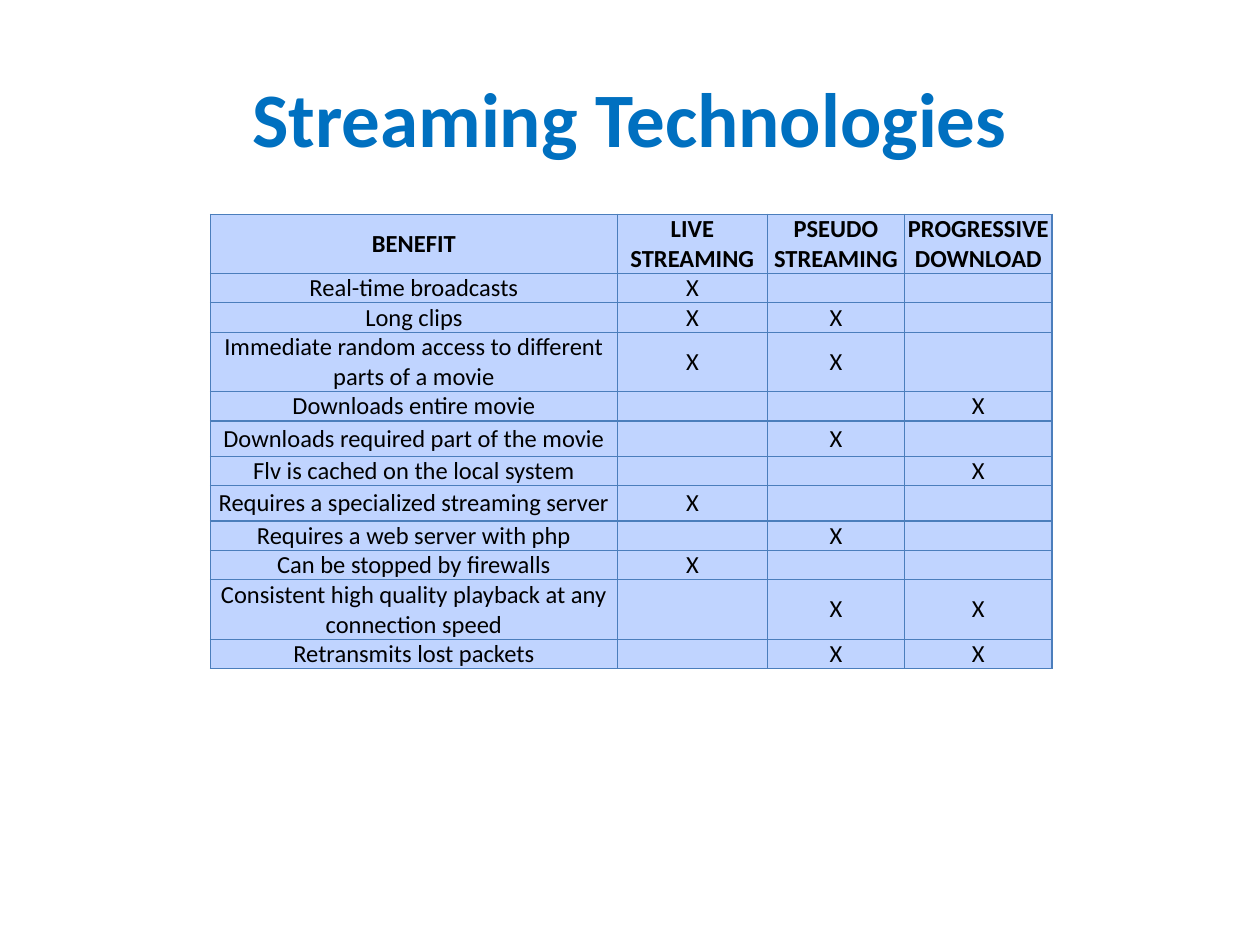
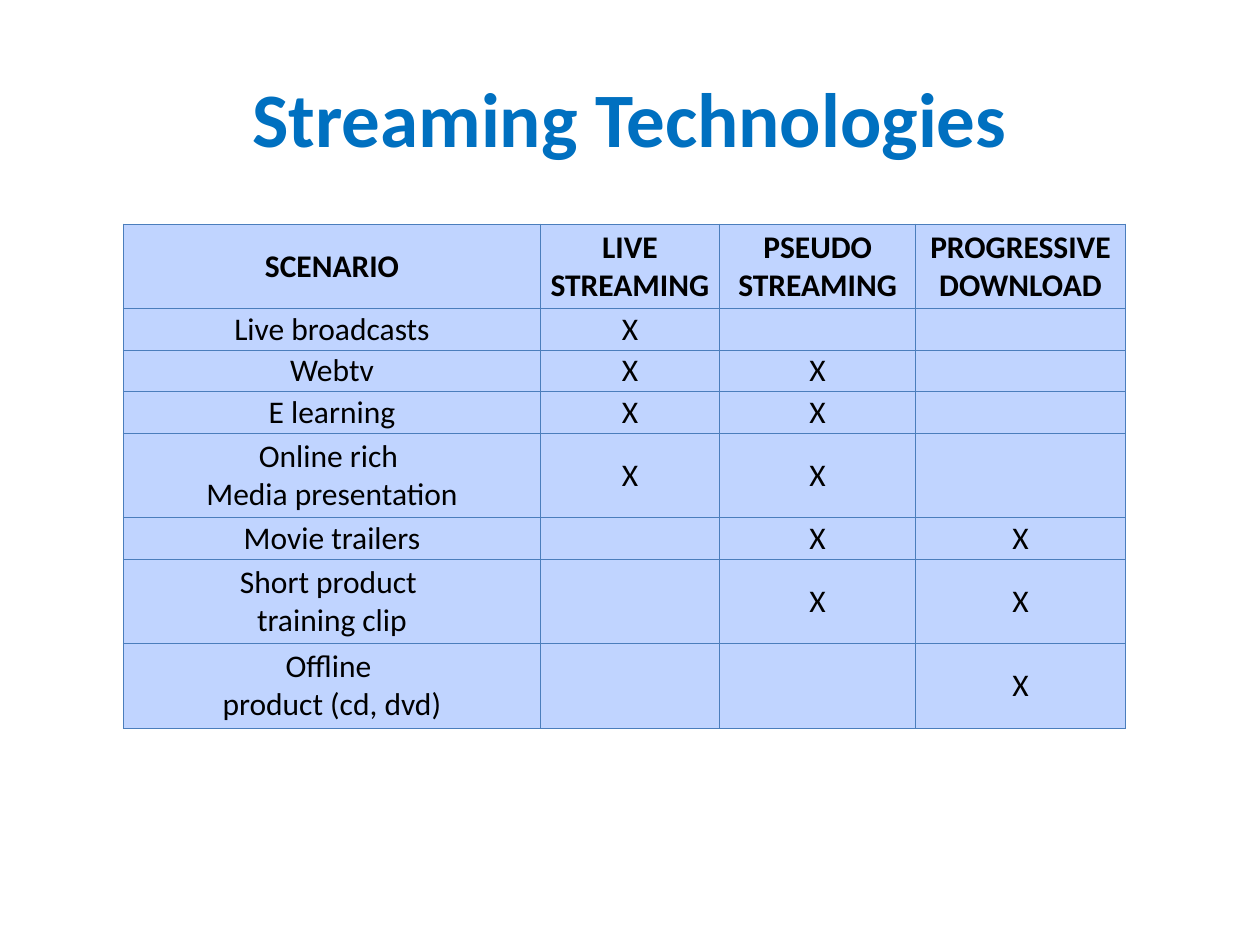
from lxml import etree
from pptx import Presentation
from pptx.dml.color import RGBColor
from pptx.enum.text import MSO_ANCHOR as Anchor, PP_ALIGN as Align
from pptx.oxml.ns import qn
from pptx.util import Inches, Pt

# Shared look
COLORS = {"title": "0070C0", "text": "000000", "cell": "C0D4FF", "border": "4B7EBC"}
FONT = "Calibri"
TITLE = "Streaming Technologies"
METHODS = "LPD"  # live, pseudo, download: one letter per mark column

# Rows: label, methods that apply, row height
BENEFITS = [
    ("Real-time broadcasts", "L", 0.23),
    ("Long clips", "LP", 0.23),
    ("Immediate random access to different parts of a movie", "LP", 0.47),
    ("Downloads entire movie", "D", 0.23),
    ("Downloads required part of the movie", "P", 0.28),
    ("Flv is cached on the local system", "D", 0.23),
    ("Requires a specialized streaming server", "L", 0.28),
    ("Requires a web server with php", "P", 0.23),
    ("Can be stopped by firewalls", "L", 0.23),
    ("Consistent high quality playback at any connection speed", "PD", 0.47),
    ("Retransmits lost packets", "PD", 0.23),
]
# "\n" starts a paragraph, "\v" breaks a line
SCENARIOS = [
    ("Live broadcasts", "L", 0.33),
    ("Webtv", "LP", 0.33),
    ("E learning", "LP", 0.33),
    ("Online rich \nMedia presentation", "LP", 0.67),
    ("Movie trailers", "PD", 0.33),
    ("Short product \vtraining clip", "PD", 0.67),
    ("Offline \vproduct (cd, dvd)", "D", 0.67),
]


def add_text(frame, text, size, color, bold=False):
    for index, block in enumerate(text.split("\n")):
        para = frame.paragraphs[0] if index == 0 else frame.add_paragraph()
        para.alignment = Align.CENTER
        for number, line in enumerate(block.split("\v")):
            if number:
                para.add_line_break()
            span = para.add_run()
            span.text = line
            font = span.font
            font.name, font.size, font.bold = FONT, Pt(size), bold
            font.color.rgb = RGBColor.from_string(COLORS[color])


def add_title(page):
    box = page.shapes.add_textbox(Inches(0.5), Inches(0.3), Inches(9), Inches(1.25))
    frame = box.text_frame
    frame.word_wrap = True
    frame.vertical_anchor = Anchor.MIDDLE
    add_text(frame, TITLE, 44, "title", bold=True)


def style_cell(cell):
    cell.margin_left = cell.margin_right = cell.margin_top = cell.margin_bottom = 0
    cell.vertical_anchor = Anchor.MIDDLE
    properties = cell._tc.get_or_add_tcPr()
    for side in ("lnL", "lnR", "lnT", "lnB"):
        line = etree.SubElement(properties, qn(f"a:{side}"), w=str(Pt(0.75)))
        fill = etree.SubElement(line, qn("a:solidFill"))
        etree.SubElement(fill, qn("a:srgbClr"), val=COLORS["border"])
    cell.fill.solid()
    cell.fill.fore_color.rgb = RGBColor.from_string(COLORS["cell"])


def fill_cell(cell, text, size, bold):
    style_cell(cell)
    if text:
        add_text(cell.text_frame, text, size, "text", bold)
    else:
        # Keeps an empty cell from stretching its row
        end = etree.SubElement(cell.text_frame.paragraphs[0]._p, qn("a:endParaRPr"))
        end.set("sz", str(size * 100))


def add_matrix(page, left, top, widths, header, header_height, rows, size):
    heights = [header_height] + [height for _, _, height in rows]
    lines = [header]
    for label, applies, _ in rows:
        lines.append([label] + ["X" if method in applies else "" for method in METHODS])
    table = page.shapes.add_table(
        len(lines), len(widths), Inches(left), Inches(top),
        Inches(sum(widths)), Inches(sum(heights))).table
    table.first_row = table.horz_banding = False
    for column, width in zip(table.columns, widths):
        column.width = Inches(width)
    for index, (line, height) in enumerate(zip(lines, heights)):
        table.rows[index].height = Inches(height)
        for cell, text in zip(table.rows[index].cells, line):
            fill_cell(cell, text, size, bold=index == 0)


def add_page(deck):
    page = deck.slides.add_slide(deck.slide_layouts[6])
    add_title(page)
    return page


def main():
    deck = Presentation()
    deck.slide_width, deck.slide_height = Inches(10), Inches(7.5)
    methods = ["PSEUDO STREAMING", "PROGRESSIVE DOWNLOAD"]

    # Benefits of each technology
    add_matrix(add_page(deck), 1.67, 1.7, [3.23, 1.19, 1.09, 1.17],
               ["BENEFIT", "LIVE STREAMING"] + methods, 0.47, BENEFITS, 14)

    # Scenarios for each technology
    add_matrix(add_page(deck), 0.98, 1.78, [3.31, 1.42, 1.56, 1.66],
               ["SCENARIO", "LIVE\nSTREAMING"] + methods, 0.67, SCENARIOS, 18)

    deck.save("out.pptx")


if __name__ == "__main__":
    main()
